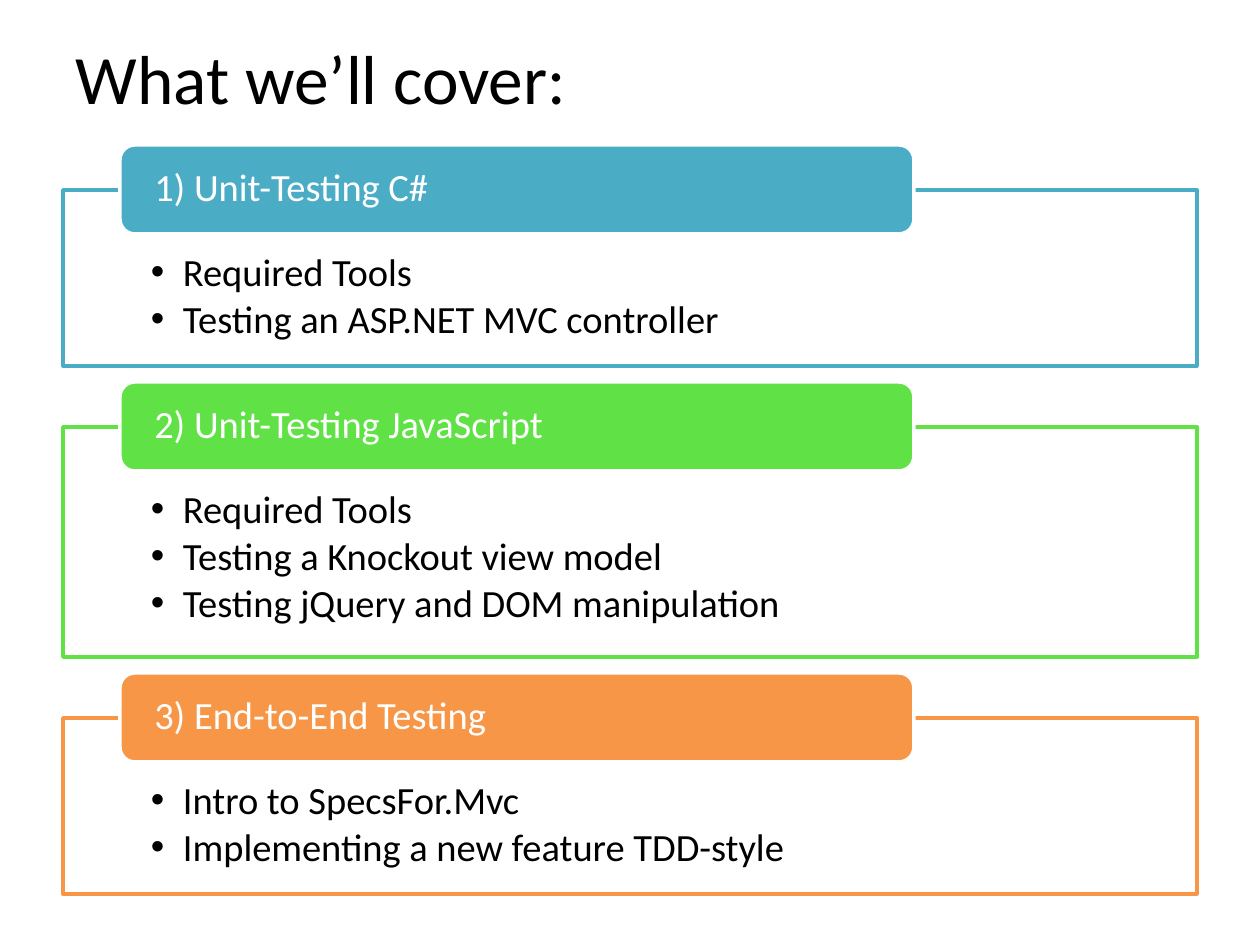
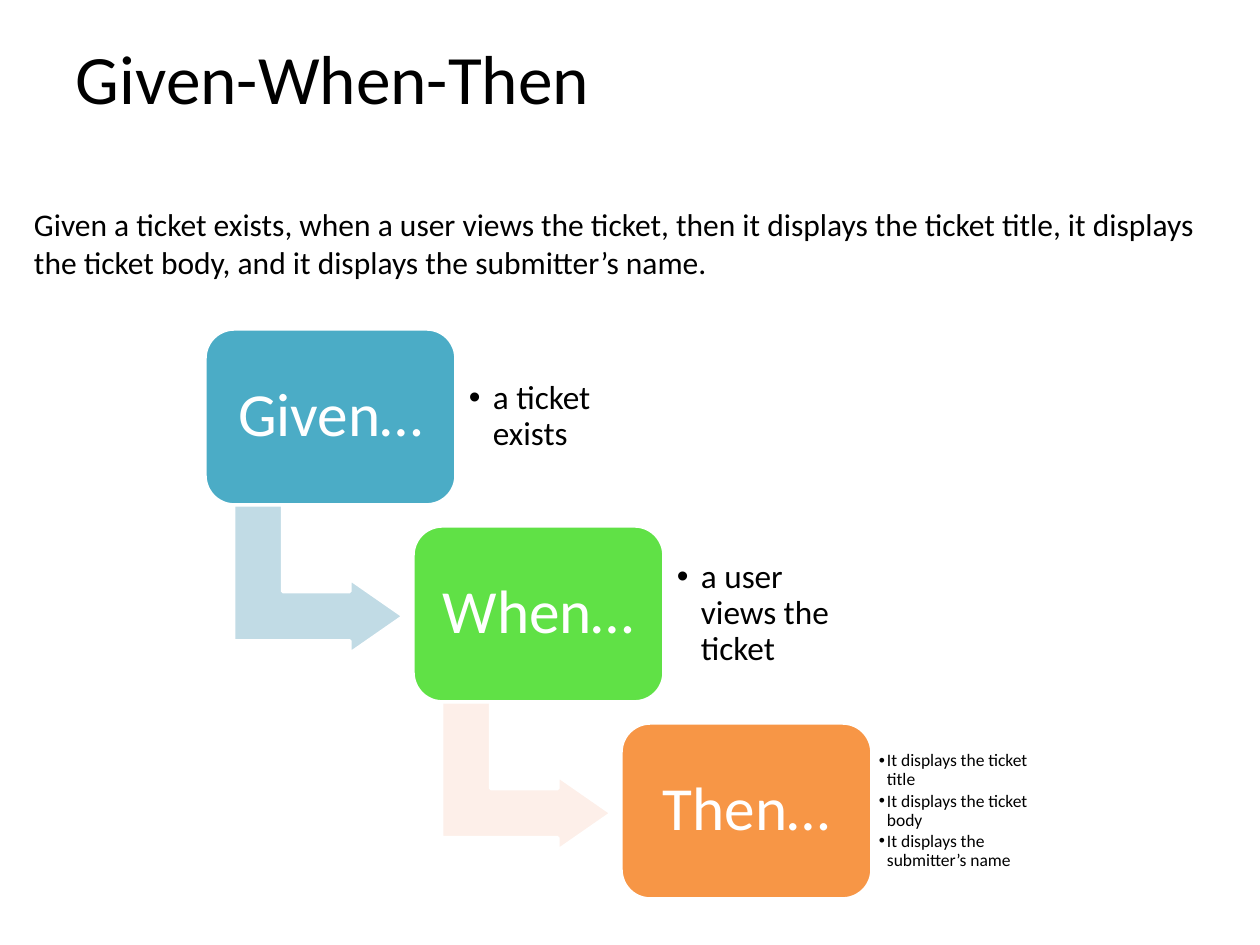
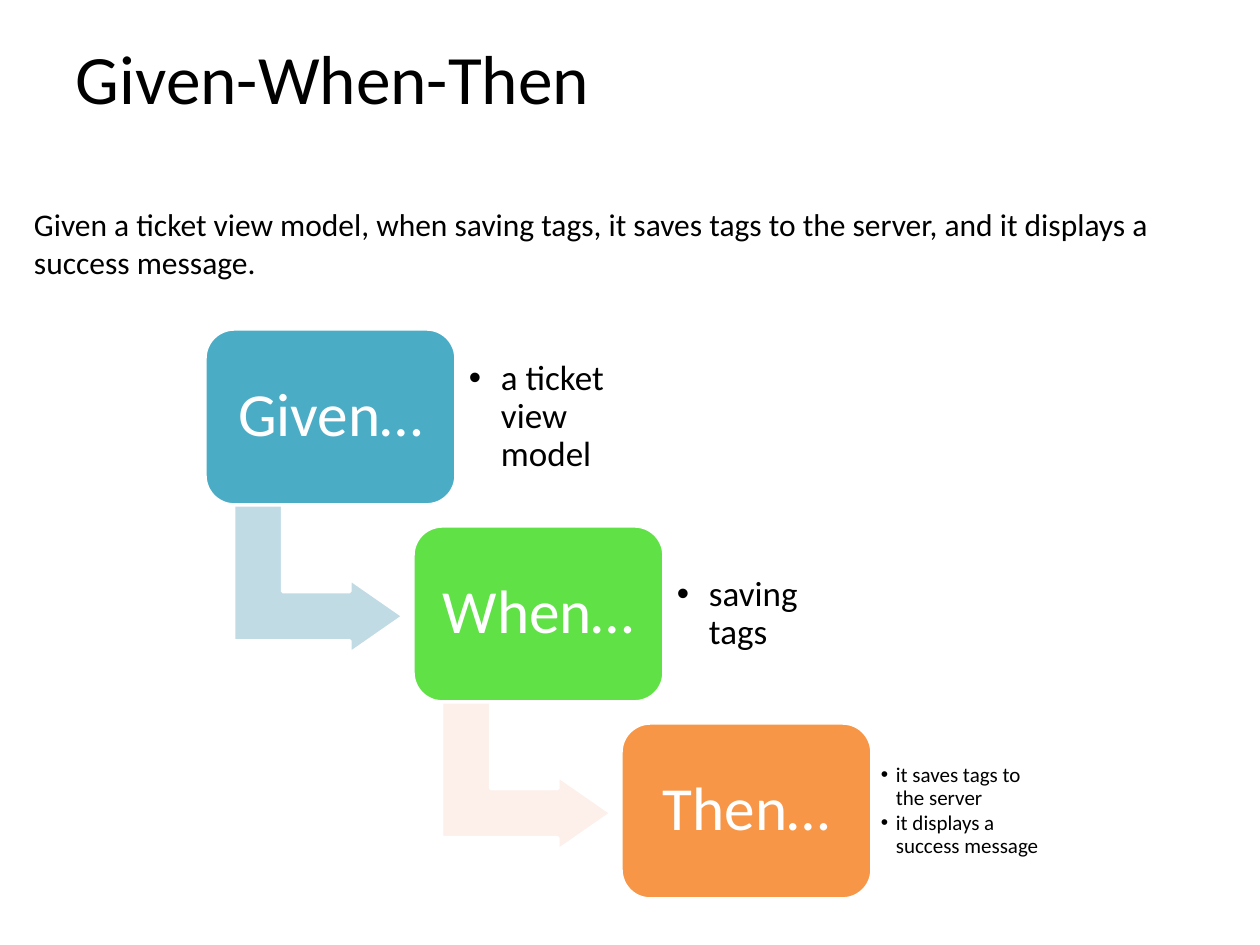
from lxml import etree
from pptx import Presentation, util as u
from pptx.dml.color import RGBColor
from pptx.enum import shapes, text
from pptx.oxml.ns import qn

SCALE = 914400 / 126
FONT = "Calibri"
COLORS = {
    "blue": "4BACC6",
    "green": "60E146",
    "orange": "F79646",
    "pale blue": "C1DBE5",
    "pale pink": "FDEFE9",
    "white": "FFFFFF",
    "black": "000000",
}
SHAPE = shapes.MSO_SHAPE
LEFT, CENTER = text.PP_ALIGN.LEFT, text.PP_ALIGN.CENTER
TOP, MIDDLE = text.MSO_ANCHOR.TOP, text.MSO_ANCHOR.MIDDLE


def add_box(page, kind, area, fill=None, line=None):
    area = [u.Emu(round(length * SCALE)) for length in area]
    if kind is None:
        return page.shapes.add_textbox(*area)
    box = page.shapes.add_shape(kind, *area)
    box.shadow.inherit = False
    box.fill.solid()
    box.fill.fore_color.rgb = RGBColor.from_string(COLORS[fill])
    box.line.color.rgb = RGBColor.from_string(COLORS[line])
    box.line.width = u.Pt(2)
    return box


def write(box, lines, size, color="black", margins=(13, 6, 13, 6),
          anchor=TOP, align=LEFT, spacing=0.9, indent=0):
    frame = box.text_frame
    frame.word_wrap = True
    frame.vertical_anchor = anchor
    frame.margin_left, frame.margin_top, frame.margin_right, frame.margin_bottom = [
        u.Emu(round(margin * SCALE)) for margin in margins]
    for index, line in enumerate(lines):
        para = frame.add_paragraph() if index else frame.paragraphs[0]
        para.alignment = align
        para.line_spacing = spacing
        span = para.add_run()
        span.text = line
        span.font.name = FONT
        span.font.size = u.Pt(size)
        span.font.color.rgb = RGBColor.from_string(COLORS[color])
        if indent:
            para.space_after = u.Pt(round(0.14 * size, 1))
            props = para._p.get_or_add_pPr()
            props.set("marL", str(round(indent * SCALE)))
            props.set("indent", str(-round(indent * SCALE)))
            etree.SubElement(props, qn("a:buFont")).set("typeface", "Arial")
            etree.SubElement(props, qn("a:buChar")).set("char", "•")


deck = Presentation()
deck.slide_width = u.Emu(round(1260 * SCALE))
deck.slide_height = u.Emu(round(945 * SCALE))

titles = ["What we’ll cover:", "Given-When-Then", "Given-When-Then"]
pages = []
for title in titles:
    page = deck.slides.add_slide(deck.slide_layouts[6])
    write(add_box(page, None, (63, 38, 1134, 78)), [title], 39.6,
          anchor=MIDDLE, spacing=1.0)
    pages.append(page)

topics = [
    ("1) Unit-Testing C#", "blue", 176,
     ["Required Tools", "Testing an ASP.NET MVC controller"]),
    ("2) Unit-Testing JavaScript", "green", 230,
     ["Required Tools", "Testing a Knockout view model",
      "Testing jQuery and DOM manipulation"]),
    ("3) End-to-End Testing", "orange", 176,
     ["Intro to SpecsFor.Mvc", "Implementing a new feature TDD-style"]),
]
top = 190
for heading, color, height, points in topics:
    panel = add_box(pages[0], SHAPE.RECTANGLE, (63, top, 1134, height), "white", color)
    write(panel, points, 22, margins=(88, 63, 88, 21), indent=32)
    tab = add_box(pages[0], SHAPE.ROUNDED_RECTANGLE, (120, top - 45, 794, 89), color, "white")
    write(tab, [heading], 22, "white", (30, 0, 30, 0), MIDDLE)
    top += height + 61

steps = [
    ("Given…", "blue", "pale blue"),
    ("When…", "green", "pale pink"),
    ("Then…", "orange", None),
]
stories = [
    ("Given a ticket exists, when a user views the ticket, then it displays the "
     "ticket title, it displays the ticket body, and it displays the submitter’s name.",
     [(["a ticket exists"], 19, 24, 13),
      (["a user views the ticket"], 19, 24, 13),
      (["It displays the ticket title", "It displays the ticket body",
        "It displays the submitter’s name"], 10, 8, 7)]),
    ("Given a ticket view model, when saving tags, it saves tags to the server, "
     "and it displays a success message.",
     [(["a ticket view model"], 20, 32, 13),
      (["saving tags"], 20, 32, 13),
      (["it saves tags to the server", "it displays a success message"], 12, 15, 9)]),
]
for page, (summary, details) in zip(pages[1:], stories):
    for index, (step, detail) in enumerate(zip(steps, details)):
        label, color, arrow_color = step
        points, size, indent, margin = detail
        left, top = 205 + 208 * index, 329 + 197 * index
        if arrow_color:
            arrow = add_box(page, SHAPE.BENT_UP_ARROW, (left + 39, top + 165, 149, 170),
                            arrow_color, "white")
            arrow.rotation = 90
            for position, value in enumerate((0.33, 0.25, 0.36)):
                arrow.adjustments[position] = value
        card = add_box(page, SHAPE.ROUNDED_RECTANGLE, (left, top, 251, 176), color, "white")
        write(card, [label], 35, "white", [19] * 4, MIDDLE, CENTER)
        note = add_box(page, None, (left + 251, top + 17, 183, 142))
        write(note, points, size, margins=[margin] * 4, anchor=MIDDLE, indent=indent)
    write(add_box(page, None, (21, 199, 1218, 90)), [summary], 18, spacing=1.0)

deck.save("out.pptx")
